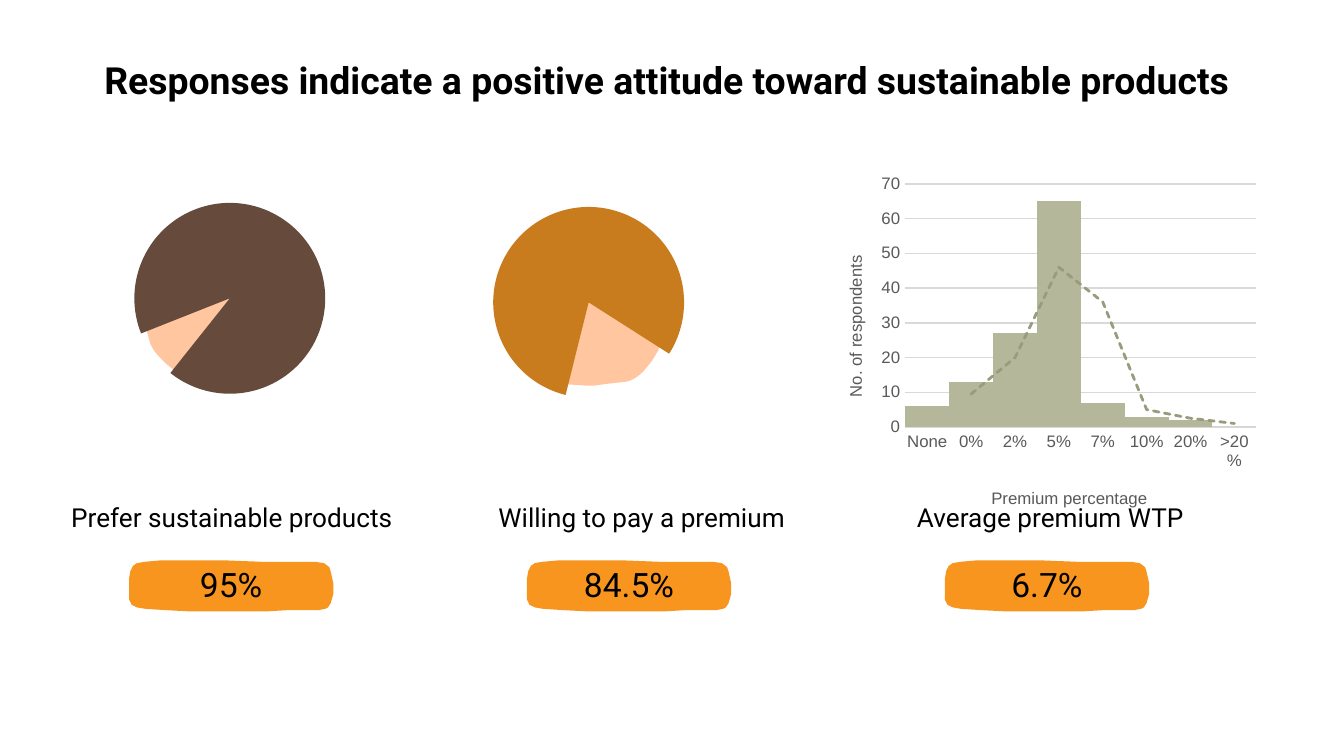
from pptx import Presentation
from pptx.chart.data import CategoryChartData
from pptx.dml.color import RGBColor
from pptx.enum.chart import XL_CHART_TYPE, XL_TICK_MARK
from pptx.enum.shapes import MSO_SHAPE
from pptx.enum.text import MSO_ANCHOR, PP_ALIGN
from pptx.oxml import parse_xml
from pptx.oxml.ns import nsdecls
from pptx.util import Inches, Pt

# Brush badge outline, relative to its top left corner
BADGE = [(1.38, 0.01), (1.22, 0.01), (0.98, 0.01), (0.73, 0), (0.42, 0), (0.23, 0),
         (0.12, 0.01), (0.06, 0.02), (0.03, 0.04), (0.01, 0.08), (0, 0.14), (0, 0.23),
         (0, 0.29), (0.02, 0.33), (0.06, 0.35), (0.12, 0.36), (0.27, 0.37), (0.47, 0.38),
         (0.78, 0.38), (1.01, 0.38), (1.18, 0.37), (1.41, 0.37), (1.46, 0.36), (1.48, 0.35),
         (1.5, 0.32), (1.52, 0.25), (1.52, 0.17), (1.5, 0.08), (1.49, 0.05), (1.45, 0.02)]

# Blob outline: a start point, then cubic curves of three points each
BLOB_START = (0.66, 1.18)
BLOB_CURVES = [
    ((0.72, 1.17), (0.81, 1.16), (0.9, 1.15)), ((0.95, 1.14), (0.99, 1.11), (1.03, 1.07)),
    ((1.2, 0.89), (1.24, 0.66), (1.19, 0.41)), ((1.17, 0.28), (1.1, 0.17), (0.99, 0.1)),
    ((0.95, 0.06), (0.91, 0.04), (0.86, 0.01)), ((0.82, 0), (0.78, 0), (0.74, 0)),
    ((0.65, 0), (0.55, 0), (0.46, 0.02)), ((0.31, 0.04), (0.21, 0.14), (0.12, 0.28)),
    ((0.01, 0.47), (0, 0.67), (0.06, 0.87)), ((0.08, 0.95), (0.14, 1), (0.19, 1.05)),
    ((0.26, 1.11), (0.34, 1.16), (0.44, 1.17)), ((0.5, 1.17), (0.56, 1.18), (0.66, 1.18)),
]


def color(value):
    return RGBColor.from_string(value)


def flatten(start, curves, steps=8):
    points = [start]
    for first, second, end in curves:
        origin = points[-1]
        for step in range(1, steps + 1):
            t = step / steps
            weights = ((1 - t) ** 3, 3 * t * (1 - t) ** 2, 3 * t * t * (1 - t), t ** 3)
            corners = (origin, first, second, end)
            points.append(tuple(sum(weight * corner[axis] for weight, corner in zip(weights, corners))
                                for axis in (0, 1)))
    return points


def manual_layout(x, y, width=None, height=None):
    """Place a chart part, in percent of the chart."""
    size = "" if width is None else f'<c:w val="{width / 100}"/><c:h val="{height / 100}"/>'
    target = "" if width is None else '<c:layoutTarget val="inner"/>'
    return parse_xml(f'<c:layout {nsdecls("c")}><c:manualLayout>{target}<c:xMode val="edge"/>'
                     f'<c:yMode val="edge"/><c:x val="{x / 100}"/><c:y val="{y / 100}"/>{size}'
                     '</c:manualLayout></c:layout>')


class SlideBuilder:
    font = "Roboto"
    ink, orange, peach = "000000", "F7951E", "FFC6A0"
    gray, rule, olive, trend = "595959", "D9D9D9", "B5B79B", "989C7C"

    def __init__(self, slide):
        self.slide = slide

    def paint(self, shape, fill):
        shape.shadow.inherit = False
        shape.fill.solid()
        shape.fill.fore_color.rgb = color(fill)
        shape.line.fill.background()

    def text(self, words, left, top, width, height, size, bold=False):
        box = self.slide.shapes.add_textbox(Inches(left), Inches(top), Inches(width), Inches(height))
        frame = box.text_frame
        frame.text = words
        frame.word_wrap = True
        frame.vertical_anchor = MSO_ANCHOR.MIDDLE
        frame.margin_left = frame.margin_right = Inches(0.1)
        frame.margin_top = frame.margin_bottom = Inches(0.1)
        para = frame.paragraphs[0]
        para.alignment = PP_ALIGN.CENTER
        font = para.runs[0].font
        font.name, font.size, font.bold = self.font, Pt(size), bold
        font.color.rgb = color(self.ink)

    def outline(self, points, left, top, fill):
        placed = [(Inches(left + x), Inches(top + y)) for x, y in points]
        builder = self.slide.shapes.build_freeform(*placed[0])
        builder.add_line_segments(placed[1:], close=True)
        self.paint(builder.convert_to_shape(), fill)

    def pie(self, left, top, blob_left, start, end, fill):
        self.outline(flatten(BLOB_START, BLOB_CURVES), blob_left, top + 0.15, self.peach)
        pie = self.slide.shapes.add_shape(MSO_SHAPE.PIE, Inches(left), Inches(top),
                                          Inches(1.42), Inches(1.42))
        pie.adjustments[0], pie.adjustments[1] = start * 0.6, end * 0.6
        self.paint(pie, fill)

    def badge(self, words, left):
        self.outline(BADGE, left, 4.17, self.orange)
        self.text(words, left, 4.22, 1.52, 0.25, 18)

    def axis(self, axis, title, x, y):
        axis.has_title = True
        axis.axis_title.text_frame.text = title
        axis.major_tick_mark = axis.minor_tick_mark = XL_TICK_MARK.NONE
        run = axis.axis_title.text_frame.paragraphs[0].runs[0]
        run.font.bold = False
        for font in (run.font, axis.tick_labels.font):
            font.name, font.size = "Arial", Pt(9)
            font.color.rgb = color(self.gray)
        element = axis.axis_title._element
        for old in element.xpath("c:layout"):
            element.remove(old)
        element.xpath("c:tx")[0].addnext(manual_layout(x, y))

    def histogram(self, left, top, width, height, categories, values):
        data = CategoryChartData()
        data.categories = categories
        data.add_series("Series 1", values)
        chart = self.slide.shapes.add_chart(XL_CHART_TYPE.COLUMN_CLUSTERED, Inches(left), Inches(top),
                                            Inches(width), Inches(height), data).chart
        chart.has_title = chart.has_legend = False
        chart.font.name, chart.font.size = "Arial", Pt(10)
        chart.font.color.rgb = color(self.ink)
        plot = chart.plots[0]
        plot.gap_width = 0
        plot.vary_by_categories = False
        series = plot.series[0]
        series.format.fill.solid()
        series.format.fill.fore_color.rgb = color(self.olive)

        # Axes
        self.axis(chart.category_axis, "Premium percentage", 36.3, 92.7)
        self.axis(chart.value_axis, "No. of respondents", 3.9, 25)
        value_axis = chart.value_axis
        value_axis.minimum_scale, value_axis.maximum_scale, value_axis.major_unit = 0, 70, 10
        value_axis.format.line.fill.background()
        for line in (chart.category_axis.format.line, value_axis.major_gridlines.format.line):
            line.color.rgb = color(self.rule)
            line.width = Pt(0.75)
        body = value_axis.axis_title._element.xpath(".//a:bodyPr")[0]
        body.set("rot", "-5400000")
        body.set("vert", "horz")

        # Plot position and moving average
        area = chart._chartSpace.xpath("c:chart/c:plotArea")[0]
        for old in area.xpath("c:layout"):
            area.remove(old)
        area.insert(0, manual_layout(18, 4.3, 77.5, 71.6))
        series._element.xpath("c:cat")[0].addprevious(parse_xml(
            f'<c:trendline {nsdecls("c", "a")}><c:spPr><a:ln w="{Pt(1.5)}" cap="rnd"><a:solidFill>'
            f'<a:srgbClr val="{self.trend}"/></a:solidFill><a:prstDash val="sysDash"/></a:ln></c:spPr>'
            '<c:trendlineType val="movingAvg"/><c:period val="2"/><c:dispRSqr val="0"/>'
            '<c:dispEq val="0"/></c:trendline>'))


def main():
    deck = Presentation()
    deck.slide_width = Inches(10)
    deck.slide_height = deck.slide_width * 9 // 16
    page = SlideBuilder(deck.slides.add_slide(deck.slide_layouts[6]))

    # Title
    page.text("Responses indicate a positive attitude toward sustainable products ",
              0.5, 0.28, 9, 0.63, 20, bold=True)

    # Charts
    page.pie(1, 1.51, 1.05, 158.39, 128.49, "664A3B")
    page.pie(3.67, 1.54, 3.76, 103.98, 32.52, "C97C1D")
    page.histogram(6.13, 1.26, 3.37, 2.56,
                   ["None", "0%", "2%", "5%", "7%", "10%", "20%", ">20%"],
                   [6, 13, 27, 65, 7, 3, 2, 0])

    # Labels and result badges
    for label, label_left, result, badge_left in (
            ("Prefer sustainable products", 0.42, "95%", 0.96),
            ("Willing to pay a premium", 3.47, "84.5%", 3.92),
            ("Average premium WTP", 6.51, "6.7%", 7.03)):
        page.text(label, label_left, 3.47, 2.61, 0.76, 14)
        page.badge(result, badge_left)

    deck.save("out.pptx")


if __name__ == "__main__":
    main()
